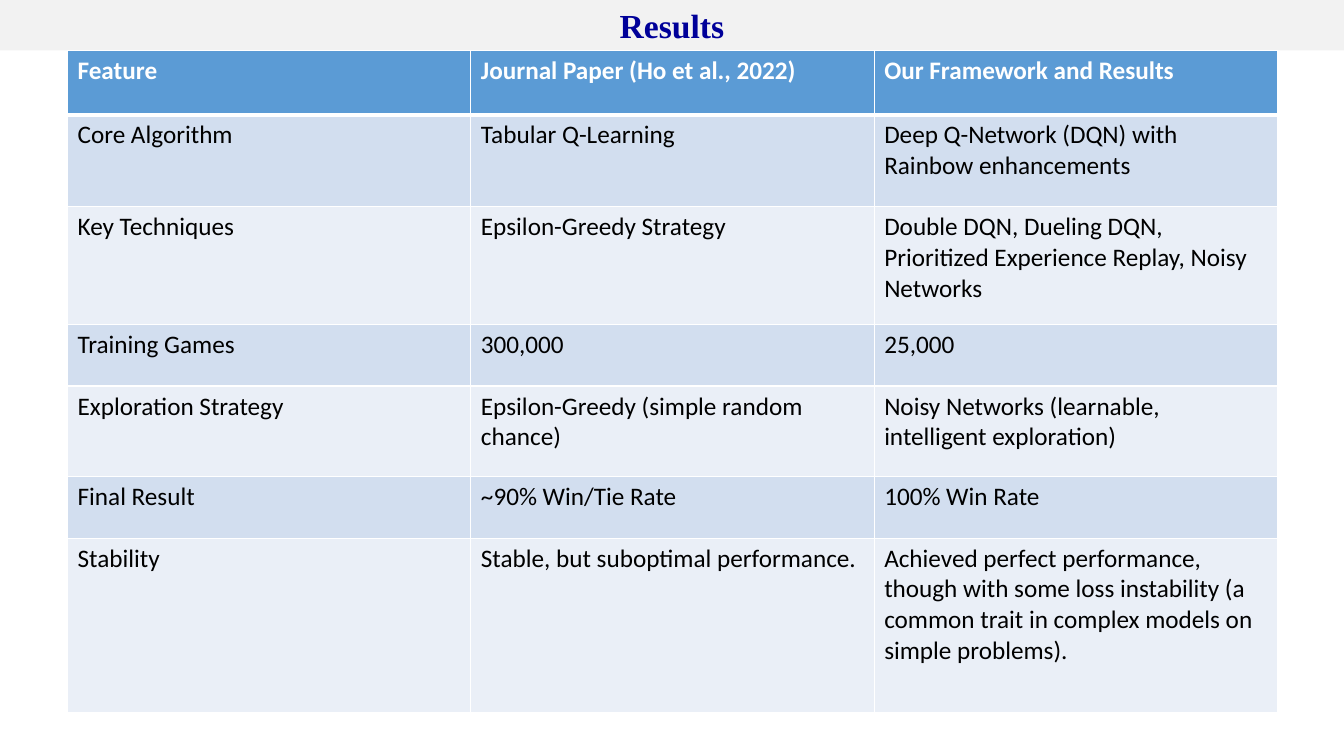
import pptx
import pptx.util
import pptx.dml.color
import pptx.enum.shapes
import pptx.enum.text
import pptx.oxml
import pptx.oxml.ns

Inches = pptx.util.Inches
Pt = pptx.util.Pt

COLORS = {
    "bar": "F2F2F2",
    "title": "000099",
    "head": "5B9BD5",
    "odd": "D2DEEF",
    "even": "EAEFF7",
    "text": "000000",
    "white": "FFFFFF",
}
HEIGHTS = [0.64, 0.91, 1.17, 0.61, 0.9, 0.61, 1.73]
ROWS = [
    ["Feature", "Journal Paper (Ho et al., 2022)", "Our Framework and Results"],
    ["Core Algorithm", "Tabular Q-Learning",
     "Deep Q-Network (DQN) with Rainbow enhancements"],
    ["Key Techniques", "Epsilon-Greedy Strategy",
     "Double DQN, Dueling DQN, Prioritized Experience Replay, Noisy Networks"],
    ["Training Games", "300,000", "25,000"],
    ["Exploration Strategy", "Epsilon-Greedy (simple random chance)",
     "Noisy Networks (learnable, intelligent exploration)"],
    ["Final Result", "~90% Win/Tie Rate", "100% Win Rate"],
    ["Stability", "Stable, but suboptimal performance.",
     "Achieved perfect performance, though with some loss instability "
     "(a common trait in complex models on simple problems)."],
]


def color(name):
    return pptx.dml.color.RGBColor.from_string(COLORS[name])


def add_run(para, text, font, size, tint, bold):
    run = para.add_run()
    run.text = text
    run.font.name = font
    run.font.size = Pt(size)
    run.font.bold = bold
    run.font.color.rgb = color(tint)


def set_edges(cell, top, base):
    """Draw the four white cell borders, with widths in points."""
    props = cell._tc.get_or_add_tcPr()
    widths = {"lnL": 1, "lnR": 1, "lnT": top, "lnB": base}
    for spot, (tag, width) in enumerate(widths.items()):
        props.insert(spot, pptx.oxml.parse_xml(
            f'<a:{tag} {pptx.oxml.ns.nsdecls("a")} w="{Pt(width)}">'
            f'<a:solidFill><a:srgbClr val="{COLORS["white"]}"/></a:solidFill>'
            f'</a:{tag}>'))


def add_title(slide, left, top, width, height):
    bar = slide.shapes.add_shape(
        pptx.enum.shapes.MSO_SHAPE.RECTANGLE,
        Inches(left), Inches(top), Inches(width), Inches(height))
    bar.shadow.inherit = False
    bar.fill.solid()
    bar.fill.fore_color.rgb = color("bar")
    bar.line.fill.background()
    frame = bar.text_frame
    frame.word_wrap = True
    frame.vertical_anchor = pptx.enum.text.MSO_ANCHOR.MIDDLE
    para = frame.paragraphs[0]
    para.alignment = pptx.enum.text.PP_ALIGN.CENTER
    add_run(para, "Results", "Times New Roman", 24, "title", True)


def add_grid(slide, left, top, width):
    count = len(ROWS[0])
    table = slide.shapes.add_table(
        len(ROWS), count, Inches(left), Inches(top),
        Inches(width), Inches(sum(HEIGHTS))).table
    for col in table.columns:
        col.width = Inches(width / count)
    for r, (texts, height) in enumerate(zip(ROWS, HEIGHTS)):
        table.rows[r].height = Inches(height)
        head = r == 0
        fill = "head" if head else "odd" if r % 2 else "even"
        for c, text in enumerate(texts):
            cell = table.cell(r, c)
            cell.fill.solid()
            cell.fill.fore_color.rgb = color(fill)
            # A thicker rule parts the header from the body
            set_edges(cell, 3 if r == 1 else 1, 3 if head else 1)
            add_run(cell.text_frame.paragraphs[0], text, "Calibri", 18,
                    "white" if head else "text", head)


def main():
    deck = pptx.Presentation()
    deck.slide_width = Inches(13.33)
    deck.slide_height = Inches(7.5)
    slide = deck.slides.add_slide(deck.slide_layouts[6])
    # Title bar
    add_title(slide, 0, 0, 13.33, 0.5)
    # Comparison table
    add_grid(slide, 0.67, 0.5, 12)
    deck.save("out.pptx")


if __name__ == "__main__":
    main()
